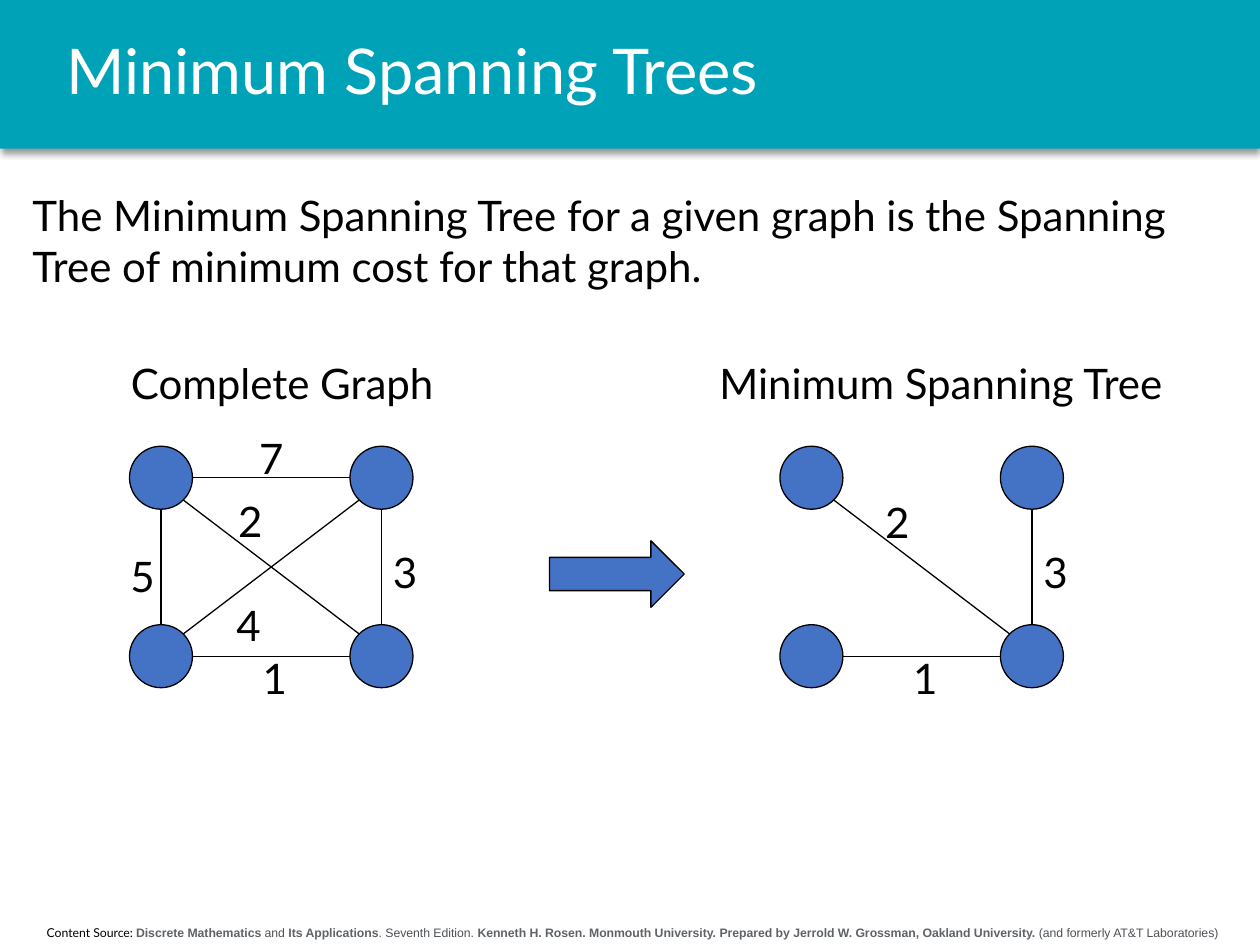
import math

import lxml.etree
import pptx
import pptx.dml.color
import pptx.enum.shapes
import pptx.enum.text
import pptx.oxml
import pptx.oxml.ns
import pptx.util

Pt = pptx.util.Pt
SHAPES = pptx.enum.shapes.MSO_SHAPE
ALIGN = pptx.enum.text.PP_ALIGN
ANCHOR = pptx.enum.text.MSO_ANCHOR

WIDTH, HEIGHT = 720, 540
TEAL, BLUE, BLACK, WHITE = "00A2B8", "4472C4", "000000", "FFFFFF"
STRONG_GREY, GREY = "5F6368", "4D5156"
NODE = 36  # node diameter

# Edges: start corner, end corner, weight, centre of the weight label.
# Corners are (column, row); label centres are relative to the graph's box.
TOP_LEFT, TOP_RIGHT, BOTTOM_LEFT, BOTTOM_RIGHT = (0, 0), (1, 0), (0, 1), (1, 1)
SHARED_EDGES = [
    (BOTTOM_LEFT, BOTTOM_RIGHT, "1", (83, 132.5)),
    (TOP_RIGHT, BOTTOM_RIGHT, "3", (157.5, 72)),
]
COMPLETE_EDGES = SHARED_EDGES + [
    (TOP_LEFT, TOP_RIGHT, "7", (81, 6.5)),
    (TOP_LEFT, BOTTOM_LEFT, "5", (7.5, 74)),
    (TOP_RIGHT, BOTTOM_LEFT, "4", (68, 102)),
    (TOP_LEFT, BOTTOM_RIGHT, "2", (69, 42.5)),
]
TREE_EDGES = SHARED_EDGES + [(TOP_LEFT, BOTTOM_RIGHT, "2", (67, 43))]


def color(value):
    return pptx.dml.color.RGBColor.from_string(value)


def add_text(slide, box, text, size=24, fill=BLACK, align=ALIGN.LEFT,
             anchor=ANCHOR.TOP, wrap=True, line_spacing=None):
    """Text is a string, or a list of (text, font, colour, bold) runs."""
    shape = slide.shapes.add_textbox(*map(Pt, box))
    frame = shape.text_frame
    frame.word_wrap = wrap
    frame.vertical_anchor = anchor
    paragraph = frame.paragraphs[0]
    paragraph.alignment = align
    if line_spacing:
        paragraph.line_spacing = line_spacing
    runs = [(text, "Lato", fill, False)] if isinstance(text, str) else text
    for content, font, run_color, bold in runs:
        run = paragraph.add_run()
        run.text = content
        run.font.size = Pt(size)
        run.font.name = font
        run.font.bold = bold
        run.font.color.rgb = color(run_color)


def add_filled(slide, kind, box, fill, outline=None):
    shape = slide.shapes.add_shape(kind, *map(Pt, box))
    shape.shadow.inherit = False
    shape.fill.solid()
    shape.fill.fore_color.rgb = color(fill)
    if outline:
        shape.line.color.rgb = color(outline)
        shape.line.width = Pt(0.75)
    else:
        shape.line.fill.background()
    return shape


def add_line(slide, start, end):
    line = slide.shapes.add_connector(
        pptx.enum.shapes.MSO_CONNECTOR.STRAIGHT, *map(Pt, (*start, *end)))
    line.line.color.rgb = color(BLACK)
    line.line.width = Pt(0.75)
    properties = line._element.spPr
    lxml.etree.SubElement(properties, pptx.oxml.ns.qn("a:effectLst"))


def add_drop_shadow(shape):
    effects = shape._element.spPr.find(pptx.oxml.ns.qn("a:effectLst"))
    effects.append(pptx.oxml.parse_xml(
        f'<a:outerShdw {pptx.oxml.ns.nsdecls("a")} blurRad="{Pt(4)}" '
        f'dist="{Pt(3)}" dir="5400000" algn="t" rotWithShape="0">'
        '<a:srgbClr val="000000"><a:alpha val="40000"/></a:srgbClr>'
        '</a:outerShdw>'))


def build_header(slide, box):
    left, top, width, height = box
    add_drop_shadow(add_filled(slide, SHAPES.RECTANGLE, box, TEAL))
    add_text(slide, (left + 31, top, width - 50, height),
             "Minimum Spanning Trees", size=36, fill=WHITE,
             anchor=ANCHOR.MIDDLE, line_spacing=0.9)


def build_source_line(slide, box):
    add_text(slide, box, [
        ("Content Source: ", "Lato", BLACK, False),
        ("Discrete Mathematics", "Arial", STRONG_GREY, True),
        (" and ", "Arial", GREY, False),
        ("Its Applications", "Arial", STRONG_GREY, True),
        (". Seventh Edition. ", "Arial", GREY, False),
        ("Kenneth H. Rosen. Monmouth University. Prepared by "
         "Jerrold W. Grossman, Oakland University.",
         "Arial", STRONG_GREY, True),
        (" (and formerly AT&T Laboratories)", "Arial", GREY, False),
    ], size=7, align=ALIGN.CENTER)


def build_graph(slide, box, edges):
    left, top, width, height = box

    def center(corner):
        column, row = corner
        return (left + NODE / 2 + column * (width - NODE),
                top + NODE / 2 + row * (height - NODE))

    # Nodes
    for corner in (TOP_LEFT, TOP_RIGHT, BOTTOM_LEFT, BOTTOM_RIGHT):
        x, y = center(corner)
        add_filled(slide, SHAPES.OVAL,
                   (x - NODE / 2, y - NODE / 2, NODE, NODE), BLUE, BLACK)

    # Edges run between the node outlines, with the weight beside them
    for start, end, weight, (label_x, label_y) in edges:
        step = (end[0] - start[0], end[1] - start[1])
        offset = [NODE / 2 * part / math.hypot(*step) for part in step]
        add_line(slide,
                 [c + o for c, o in zip(center(start), offset)],
                 [c - o for c, o in zip(center(end), offset)])
        add_text(slide, (left + label_x - 14, top + label_y - 18, 28, 36),
                 weight, align=ALIGN.CENTER, wrap=False)


def main():
    presentation = pptx.Presentation()
    presentation.slide_width, presentation.slide_height = Pt(WIDTH), Pt(HEIGHT)
    slide = presentation.slides.add_slide(presentation.slide_layouts[6])

    # Header, source and definition
    build_header(slide, (0, 0, WIDTH, 85))
    build_source_line(slide, (3, 525, 717, 16))
    add_text(slide, (11.5, 105, 704, 65.5),
             "The Minimum Spanning Tree for a given graph is the Spanning "
             "Tree of minimum cost for that graph.")

    # Complete graph, arrow, spanning tree
    build_graph(slide, (74, 255, 162, 138), COMPLETE_EDGES)
    build_graph(slide, (445.7, 255, 162, 138), TREE_EDGES)
    add_filled(slide, SHAPES.RIGHT_ARROW, (314, 309, 77, 38), BLUE, BLACK)

    # Captions
    add_text(slide, (67.7, 201, 190, 36), "Complete Graph", wrap=False)
    add_text(slide, (404, 201, 276, 36), "Minimum Spanning Tree", wrap=False)

    presentation.save("out.pptx")


if __name__ == "__main__":
    main()
